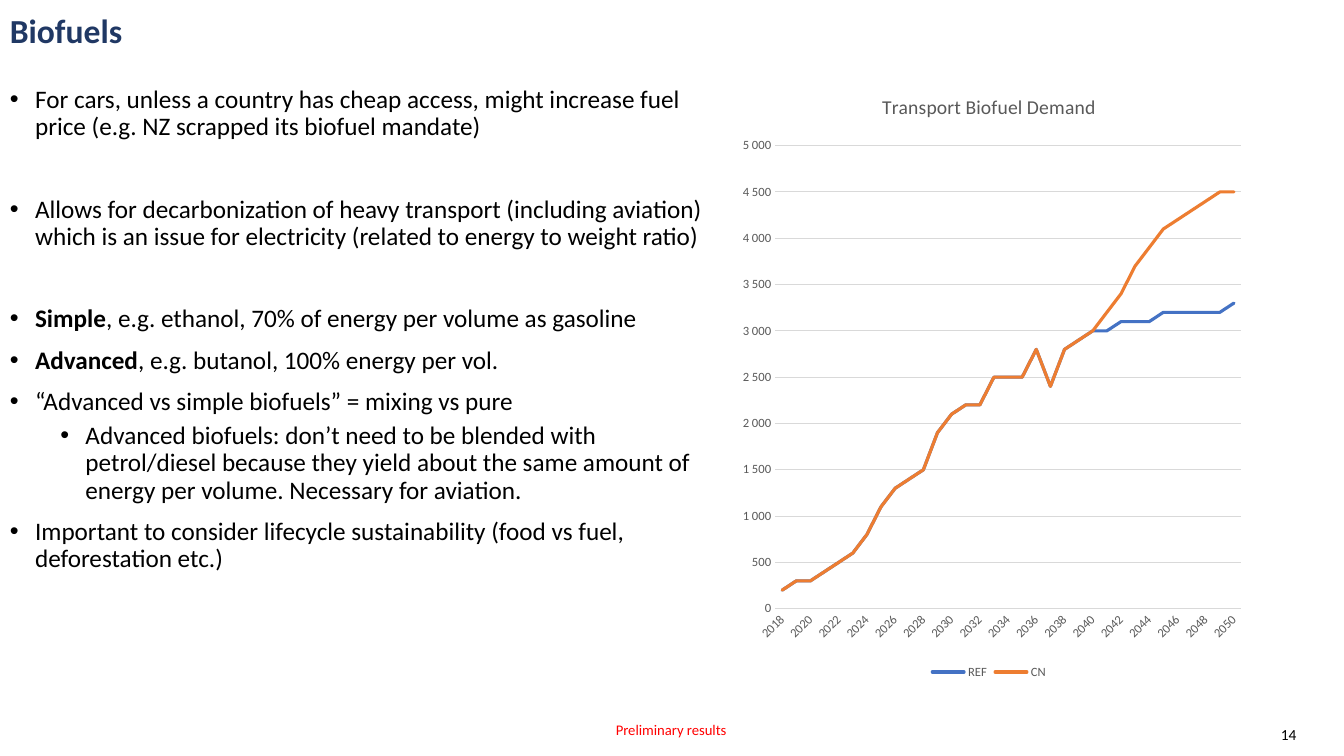
from lxml import etree
from pptx import Presentation
from pptx.chart.data import CategoryChartData
from pptx.dml.color import RGBColor
from pptx.enum.chart import XL_CHART_TYPE, XL_LEGEND_POSITION, XL_TICK_MARK
from pptx.enum.text import MSO_ANCHOR
from pptx.oxml.ns import qn
from pptx.util import Cm, Pt

LINE_CHART = XL_CHART_TYPE.LINE
LEGEND_BOTTOM = XL_LEGEND_POSITION.BOTTOM
NO_TICK = XL_TICK_MARK.NONE
TOP, MIDDLE = MSO_ANCHOR.TOP, MSO_ANCHOR.MIDDLE

# Content
FONT = "Calibri"
BLACK, NAVY, RED = "000000", "203864", "FF0000"
GREY, GRID = "595959", "D9D9D9"

# (level, space before in points, [(text, bold), ...])
BULLETS = [
    (0, 10, [("For cars, unless a country has cheap access, might increase fuel "
              "price (e.g. NZ scrapped its biofuel mandate)", False)]),
    (0, 39.5, [("Allows for decarbonization of heavy transport (including aviation) "
                "which is an issue for electricity (related to energy to weight ratio)", False)]),
    (0, 39.5, [("Simple", True),
               (", e.g. ethanol, 70% of energy per volume as gasoline", False)]),
    (0, 10, [("Advanced", True), (", e.g. butanol, 100% energy per vol.", False)]),
    (0, 10, [("“Advanced vs simple biofuels” = mixing vs pure", False)]),
    (1, 5, [("Advanced biofuels: don’t need to be blended with petrol/diesel because "
             "they yield about the same amount of energy per volume. "
             "Necessary for aviation.", False)]),
    (0, 10, [("Important to consider lifecycle sustainability (food vs fuel, "
              "deforestation etc.)", False)]),
]

CHART_TITLE = "Transport Biofuel Demand"
YEARS = [str(year) for year in range(2018, 2051)]
SHARED = [200, 300, 300, 400, 500, 600, 800, 1100, 1300, 1400, 1500, 1900,
          2100, 2200, 2200, 2500, 2500, 2500, 2800, 2400, 2800, 2900, 3000]
SERIES = [
    ("REF", "4472C4", SHARED + [3000, 3100, 3100, 3100, 3200, 3200, 3200, 3200, 3200, 3300]),
    ("CN", "ED7D31", SHARED + [3200, 3400, 3700, 3900, 4100, 4200, 4300, 4400, 4500, 4500]),
]


def color(hex_text):
    return RGBColor.from_string(hex_text)


def style_font(font, size, hex_text, bold=False):
    font.name, font.size, font.bold = FONT, Pt(size), bold
    font.color.rgb = color(hex_text)


def add_box(page, left, top, width, height, anchor=TOP, wrap=True):
    box = page.shapes.add_textbox(Cm(left), Cm(top), Cm(width), Cm(height))
    frame = box.text_frame
    frame.word_wrap = wrap
    frame.vertical_anchor = anchor
    return frame


def add_span(para, text, size, hex_text, bold=False):
    span = para.add_run()
    span.text = text
    style_font(span.font, size, hex_text, bold)


def set_bullet(para, level):
    indent = Cm(0.635)
    props = para._p.get_or_add_pPr()
    props.set("marL", str(indent * (1 + 2 * level)))
    props.set("indent", str(-indent))
    etree.SubElement(props, qn("a:buFont")).set("typeface", "Arial")
    etree.SubElement(props, qn("a:buChar")).set("char", "•")


def add_bullets(page):
    frame = add_box(page, 0, 2.06, 18.31, 15.95)
    for index, (level, before, spans) in enumerate(BULLETS):
        para = frame.add_paragraph() if index else frame.paragraphs[0]
        para.level = level
        para.line_spacing = 0.9
        para.space_before = Pt(before)
        set_bullet(para, level)
        for text, bold in spans:
            add_span(para, text, 18, BLACK, bold)


def style_line(line, hex_text, width):
    line.color.rgb = color(hex_text)
    line.width = Pt(width)


def add_demand_chart(page):
    data = CategoryChartData()
    data.categories = YEARS
    for name, _, values in SERIES:
        data.add_series(name, values)
    chart = page.shapes.add_chart(
        LINE_CHART, Cm(18.31), Cm(1.83), Cm(13.23), Cm(15.39), data).chart
    style_font(chart.font, 10, BLACK)

    # Title and legend
    chart.has_title = True
    add_span(chart.chart_title.text_frame.paragraphs[0], CHART_TITLE, 14, GREY)
    chart.chart_title.include_in_layout = False
    chart.has_legend = True
    chart.legend.position = LEGEND_BOTTOM
    chart.legend.include_in_layout = False
    style_font(chart.legend.font, 9, GREY)

    # Axes
    years, demand = chart.category_axis, chart.value_axis
    for axis in (years, demand):
        axis.major_tick_mark = axis.minor_tick_mark = NO_TICK
        style_font(axis.tick_labels.font, 9, GREY)
    style_line(years.format.line, GRID, 0.75)
    years._element.find(qn("c:txPr")).find(qn("a:bodyPr")).set("rot", "-2700000")
    skip = etree.Element(qn("c:tickLblSkip"))
    skip.set("val", "2")
    years._element.find(qn("c:noMultiLvlLbl")).addprevious(skip)
    demand.minimum_scale, demand.maximum_scale, demand.major_unit = 0, 5000, 500
    demand.tick_labels.number_format = r"#\ ###\ ###\ ##0"
    demand.tick_labels.number_format_is_linked = False
    demand.format.line.fill.background()
    demand.has_major_gridlines = True
    style_line(demand.major_gridlines.format.line, GRID, 0.75)

    # Lines with round ends
    for series, (_, hex_text, _) in zip(chart.plots[0].series, SERIES):
        series.smooth = False
        style_line(series.format.line, hex_text, 2.25)
        outline = series._element.find(qn("c:spPr")).find(qn("a:ln"))
        outline.set("cap", "rnd")
        etree.SubElement(outline, qn("a:round"))


def main():
    deck = Presentation()
    deck.slide_width, deck.slide_height = Cm(33.87), Cm(19.05)
    page = deck.slides.add_slide(deck.slide_layouts[6])

    # Title
    title = add_box(page, 0, -1.02, 29.21, 3.68, MIDDLE).paragraphs[0]
    title.line_spacing = 0.9
    add_span(title, "Biofuels", 24, NAVY, True)

    # Body
    add_bullets(page)
    add_demand_chart(page)

    # Footer
    status = add_box(page, 15.27, 18.03, 3.35, 0.71, wrap=False)
    add_span(status.paragraphs[0], "Preliminary results", 10.5, RED)
    number = add_box(page, 32.03, 18.16, 1.3, 0.74)
    add_span(number.paragraphs[0], "14", 11, BLACK)

    deck.save("out.pptx")


if __name__ == "__main__":
    main()
